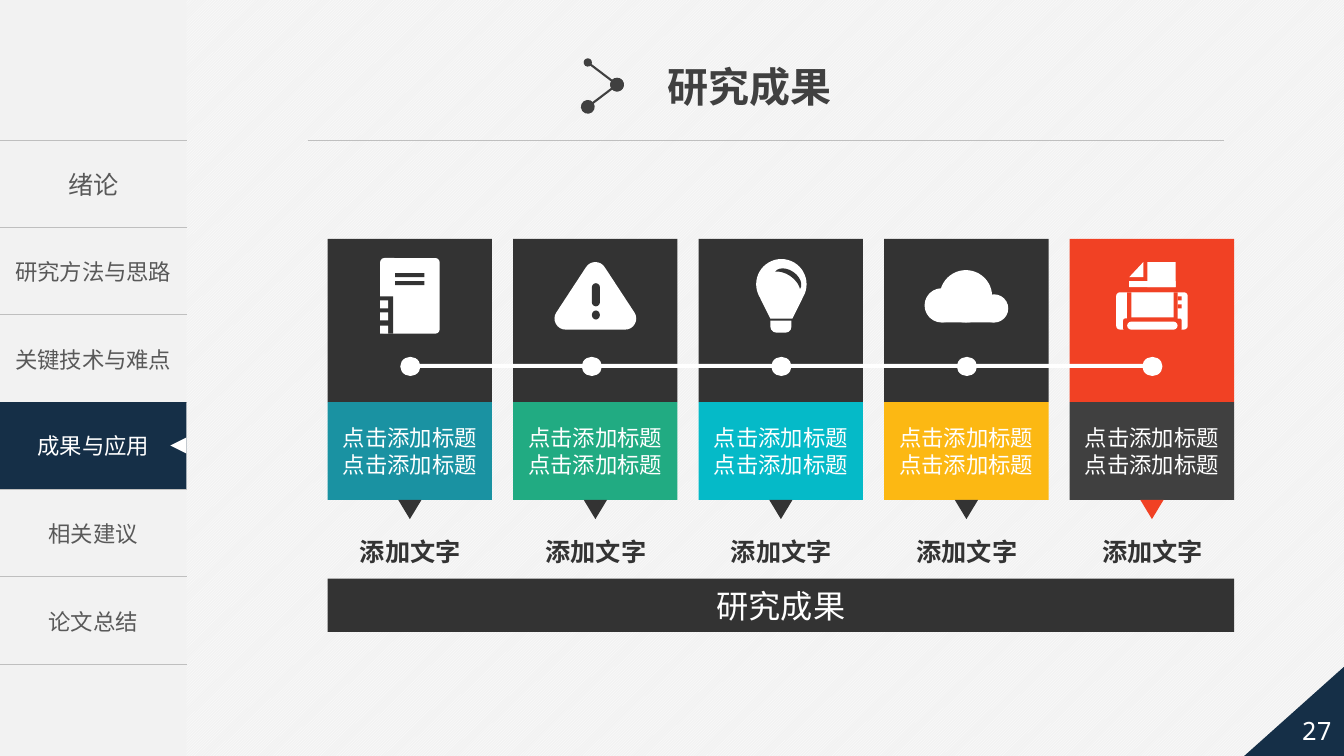
from lxml import etree
from pptx import Presentation
from pptx.dml.color import RGBColor
from pptx.enum.dml import MSO_PATTERN
from pptx.enum.shapes import MSO_CONNECTOR, MSO_SHAPE
from pptx.enum.text import MSO_ANCHOR, PP_ALIGN
from pptx.oxml.ns import qn
from pptx.util import Pt

PX = 9144
RECTANGLE, ROUNDED = MSO_SHAPE.RECTANGLE, MSO_SHAPE.ROUNDED_RECTANGLE
ELLIPSE, TRIANGLE, CORNER = MSO_SHAPE.OVAL, MSO_SHAPE.ISOSCELES_TRIANGLE, MSO_SHAPE.RIGHT_TRIANGLE
TRAPEZOID, MOON, CUP = MSO_SHAPE.TRAPEZOID, MSO_SHAPE.MOON, MSO_SHAPE.ROUND_2_SAME_RECTANGLE
CENTER, LEFT, MIDDLE = PP_ALIGN.CENTER, PP_ALIGN.LEFT, MSO_ANCHOR.MIDDLE
CJK = "Noto Sans CJK SC"
COLORS = {
    "white": "FFFFFF", "paper": "F2F2F2", "rule": "BFBFBF", "menu": "595959",
    "navy": "152F47", "dark": "333333", "gray": "404040", "red": "F14124",
    "teal": "1A92A2", "green": "21AB82", "cyan": "05BAC8", "amber": "FCB813",
}
RGB = {name: RGBColor.from_string(value) for name, value in COLORS.items()}


def write_text(frame, lines, size, color, bold=False, align=CENTER, font=CJK):
    frame.vertical_anchor = MIDDLE
    for index, line in enumerate(lines):
        paragraph = frame.add_paragraph() if index else frame.paragraphs[0]
        paragraph.alignment = align
        run = paragraph.add_run()
        run.text = line
        run.font.size = Pt(size)
        run.font.bold = bold
        run.font.color.rgb = RGB[color]
        run.font.name = font
        etree.SubElement(run.font._element, qn("a:ea"), typeface=font)


def add_block(kind, left, top, width, height, color=None, rotation=0):
    shape = slide.shapes.add_shape(kind, left * PX, top * PX, width * PX, height * PX)
    shape.shadow.inherit = False
    shape.line.fill.background()
    shape.rotation = rotation
    if color:
        shape.fill.solid()
        shape.fill.fore_color.rgb = RGB[color]
    else:
        shape.fill.background()
    if kind == CORNER or kind == MSO_SHAPE.PENTAGON:
        shape._element.spPr.xfrm.set("flipH", "1")
    return shape


presentation = Presentation()
presentation.slide_width = 1333 * PX
presentation.slide_height = 750 * PX
slide = presentation.slides.add_slide(presentation.slide_layouts[5])
background = slide.background.fill
background.patterned()
background.pattern = MSO_PATTERN.LIGHT_UPWARD_DIAGONAL
background.fore_color.rgb = RGB["white"]
background.back_color.rgb = RGB["paper"]

title = slide.shapes.title
title.left, title.top, title.width, title.height = 652 * PX, 56 * PX, 185 * PX, 59 * PX
title.text_frame.word_wrap = False
write_text(title.text_frame, ["研究成果"], 29.3, "gray", True, LEFT, "Arial")

add_block(RECTANGLE, 0, 0, 185, 750, "paper")
chapters = ["绪论", "研究方法与思路", "关键技术与难点", "成果与应用", "相关建议", "论文总结"]
menu = slide.shapes.add_table(len(chapters), 1, 0, 139 * PX, 185 * PX, 520 * PX).table
menu.first_row = menu.horz_banding = False
menu._tbl.tblPr.find(qn("a:tableStyleId")).text = "{2D5ABB26-0587-4C30-8999-92F81FD0307C}"
for index, chapter in enumerate(chapters):
    cell = menu.cell(index, 0)
    cell.vertical_anchor = MIDDLE
    write_text(cell.text_frame, [chapter], 16 if index else 18, "menu")
    properties = cell._tc.get_or_add_tcPr()
    for side in ("a:lnT", "a:lnB"):
        border = etree.SubElement(properties, qn(side), w=str(Pt(1)))
        fill = etree.SubElement(border, qn("a:solidFill"))
        etree.SubElement(fill, qn("a:srgbClr"), val=COLORS["rule"])
    cell.fill.background()

active = add_block(RECTANGLE, 0, 399, 185, 86, "navy")
write_text(active.text_frame, ["成果与应用"], 16, "white")
add_block(TRIANGLE, 169, 434, 16, 16, "white", 270)
add_block(CORNER, 1233, 658, 104, 93, "navy")
page = add_block(MSO_SHAPE.PENTAGON, 1245, 697, 108, 55)
write_text(page.text_frame, ["27"], 18, "white", font="Noto Sans Mono")

cards = [("dark", "teal"), ("dark", "green"), ("dark", "cyan"), ("dark", "amber"), ("red", "gray")]
for index, (top_color, label_color) in enumerate(cards):
    left = 325 + 184 * index
    add_block(RECTANGLE, left, 237, 163, 162, top_color)
    label = add_block(RECTANGLE, left, 399, 163, 97, label_color)
    add_block(TRIANGLE, left + 70, 496, 23, 19, top_color, 180)
    caption = slide.shapes.add_textbox((left + 23) * PX, 528 * PX, 118 * PX, 39 * PX)
    caption.text_frame.word_wrap = False
    write_text(label.text_frame, ["点击添加标题"] * 2, 16, "white")
    write_text(caption.text_frame, ["添加文字"], 18, "dark", True)
    for shape in (label, caption):
        frame = shape.text_frame
        frame.margin_left = frame.margin_right = 8 * PX
        frame.margin_top = frame.margin_bottom = 4 * PX

notebook = add_block(ROUNDED, 377, 256, 59, 75, "white")
notebook.adjustments[0] = 0.07
add_block(RECTANGLE, 377, 294, 13, 37, "dark")
for top in (298, 310, 323):
    add_block(RECTANGLE, 377, top, 8, 8, "white")
for top in (271, 279):
    add_block(RECTANGLE, 392, top, 29, 4, "dark")

warning = add_block(TRIANGLE, 561, 271, 59, 45, "white")
warning.line.color.rgb = RGB["white"]
warning.line.width = 22 * PX
etree.SubElement(warning.line._get_or_add_ln(), qn("a:round"))
exclamation = add_block(ROUNDED, 587, 281, 8, 23, "dark")
exclamation.adjustments[0] = 0.5
add_block(ELLIPSE, 587, 308, 8, 9, "dark")

add_block(ELLIPSE, 750, 257, 50, 50, "white")
neck = add_block(TRAPEZOID, 754, 296, 42, 20, "white", 180)
neck.adjustments[0] = 0.5
add_block(MOON, 779, 259, 10, 30, "dark", 125)
base = add_block(CUP, 764, 318, 21, 12, "white", 180)
base.adjustments[0] = 0.5

for left, top, size in ((932, 268, 52), (917, 286, 34), (972, 292, 28)):
    add_block(ELLIPSE, left, top, size, size, "white")
add_block(RECTANGLE, 934, 300, 52, 20, "white")

printer = add_block(ROUNDED, 1107, 290, 71, 37, "white")
printer.adjustments[0] = 0.1
add_block(RECTANGLE, 1118, 290, 50, 37, "red")
add_block(ROUNDED, 1114, 316, 58, 12, "red")
for top in (294, 302):
    add_block(RECTANGLE, 1168, top, 4, 4, "red")
add_block(RECTANGLE, 1122, 290, 42, 25, "white")
tray = add_block(ROUNDED, 1118, 319, 50, 8, "white")
tray.adjustments[0] = 0.5
add_block(CORNER, 1120, 260, 14, 15, "white")
add_block(RECTANGLE, 1138, 260, 28, 25, "white")
add_block(RECTANGLE, 1120, 279, 46, 6, "white")

add_block(RECTANGLE, 401, 361, 736, 4, "white")
for left in (397, 577, 765, 949, 1133):
    add_block(ELLIPSE, left, 354, 20, 19, "white")

banner = add_block(RECTANGLE, 325, 574, 899, 53, "dark")
write_text(banner.text_frame, ["研究成果"], 23, "white")

lines = [
    ((305, 139, 1214, 139), "rule", 0.5, {}),
    ((583, 62, 612, 84), "gray", 1.5, {"a:headEnd": "med", "a:tailEnd": "lg"}),
    ((612, 84, 583, 106), "gray", 1.5, {"a:headEnd": "lg", "a:tailEnd": "lg"}),
]
for ends, color, width, dots in lines:
    connector = slide.shapes.add_connector(MSO_CONNECTOR.STRAIGHT, *(value * PX for value in ends))
    connector.line.color.rgb = RGB[color]
    connector.line.width = Pt(width)
    for tag, size in dots.items():
        etree.SubElement(connector.line._get_or_add_ln(), qn(tag), type="oval", w=size, len=size)
    etree.SubElement(connector._element.spPr, qn("a:effectLst"))

presentation.save("out.pptx")
